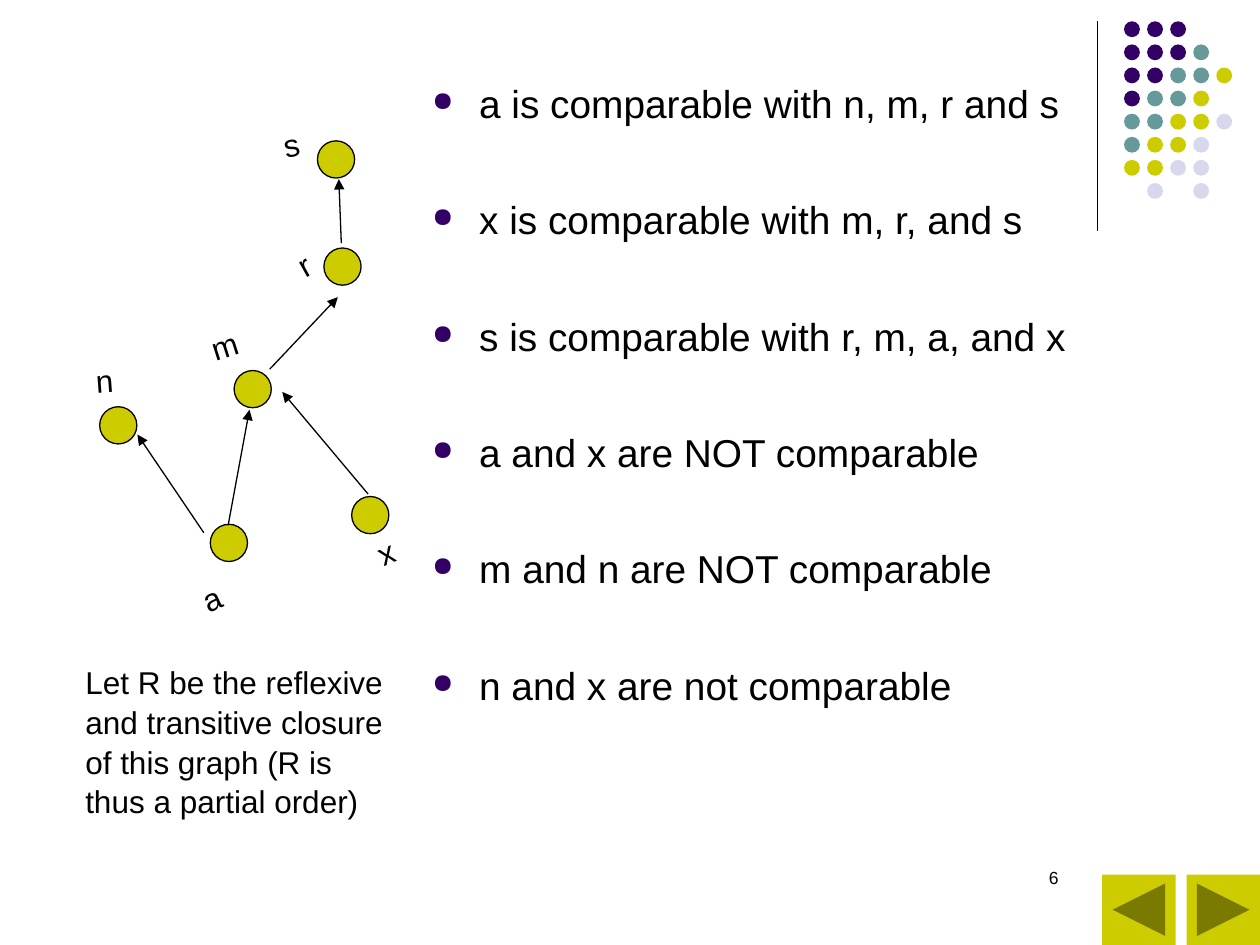
from lxml import etree
from pptx import Presentation
from pptx.dml.color import RGBColor
from pptx.enum.shapes import MSO_CONNECTOR, MSO_SHAPE
from pptx.enum.text import MSO_AUTO_SIZE, PP_ALIGN
from pptx.oxml.ns import qn
from pptx.util import Cm, Pt

OVAL = MSO_SHAPE.OVAL
BACK = MSO_SHAPE.ACTION_BUTTON_BACK_OR_PREVIOUS
NEXT = MSO_SHAPE.ACTION_BUTTON_FORWARD_OR_NEXT
LINE = MSO_CONNECTOR.STRAIGHT
RIGHT = PP_ALIGN.RIGHT
GROW = MSO_AUTO_SIZE.SHAPE_TO_FIT_TEXT

HUES = {"ink": "000000", "purple": "330066", "teal": "669999",
        "lime": "CCCC00", "pale": "D8D8EC"}
FONT = "Arial"

# One letter per dot: purple, teal, lime, pale
DOTS = ["ppp", "pppt", "ppttl", "pttl", "ttlld", "tlld", "lldd", " d d"]
KEYS = {"p": "purple", "t": "teal", "l": "lime", "d": "pale"}

# Name: node left and top, then label left, top, width and turn
NODES = {
    "n": (0.51, 5.80, 0.18, 4.76, 0.86, -4.3),
    "x": (5.59, 7.61, 5.94, 8.37, 0.81, 157.2),
    "s": (4.90, 0.44, 3.96, 0, 0.81, -12.3),
    "r": (5.03, 2.60, 4.27, 2.43, 0.71, -29.1),
    "a": (2.74, 8.17, 2.34, 9.16, 0.86, -24.1),
    "m": (3.22, 5.07, 2.51, 4.05, 1.04, -17.7),
}
# Start and end of each arrow
EDGES = [
    (2.61, 8.34, 1.27, 6.36),
    (5.38, 2.50, 5.33, 1.21),
    (3.10, 8.19, 3.53, 5.86),
    (3.94, 5.04, 5.31, 3.59),
    (5.92, 7.56, 4.19, 5.50),
]
FACTS = [
    "a is comparable with n, m, r and s",
    "x is comparable with m, r, and s",
    "s is comparable with r, m, a, and x",
    "a and x are NOT comparable",
    "m and n are NOT comparable",
    "n and x are not comparable",
]
NOTE = ("Let R be the reflexive and transitive closure of this graph "
        "(R is thus a partial order)")


def tint(key):
    return RGBColor.from_string(HUES[key])


def put(obj, fmt):
    for name, value in fmt.items():
        setattr(obj, name, value)


def shape(slide, kind, box, hue, edge=False):
    item = slide.shapes.add_shape(kind, *map(Cm, box))
    item.shadow.inherit = False
    item.fill.solid()
    item.fill.fore_color.rgb = tint(hue)
    if edge:
        item.line.color.rgb = tint("ink")
        item.line.width = Pt(0.75)
    else:
        item.line.fill.background()
    return item


def line(slide, ends, arrow=False):
    item = slide.shapes.add_connector(LINE, *map(Cm, ends))
    item.line.color.rgb = tint("ink")
    item.line.width = Pt(0.75)
    if arrow:
        ln = item.line._get_or_add_ln()
        etree.SubElement(ln, qn("a:tailEnd"), type="triangle")
    etree.SubElement(item._element.spPr, qn("a:effectLst"))


def style(para, size, fmt):
    put(para, fmt)
    put(para.font, {"name": FONT, "size": Pt(size)})
    para.font.color.rgb = tint("ink")


def text(slide, box, words, size, frame, fmt):
    item = slide.shapes.add_textbox(*map(Cm, box))
    put(item.text_frame, frame)
    para = item.text_frame.paragraphs[0]
    para.text = words
    style(para, size, fmt)
    return item


def bullet(para):
    props = para._p.get_or_add_pPr()
    put_in = {"marL": Cm(0.95), "indent": -Cm(0.95)}
    for name, value in put_in.items():
        props.set(name, str(int(value)))
    hue = etree.SubElement(props, qn("a:buClr"))
    etree.SubElement(hue, qn("a:srgbClr"), val=HUES["purple"])
    etree.SubElement(props, qn("a:buSzPct"), val="70000")
    etree.SubElement(props, qn("a:buChar"), char="●")


def corner(slide, left, top, width, height):
    """Rule with a grid of dots to its right."""
    line(slide, (left, top, left, top + height))
    size, inset, deep = 0.32, 0.54, 3.58
    step_x = (width - inset - size) / 4
    step_y = (deep - size) / (len(DOTS) - 1)
    for row, marks in enumerate(DOTS):
        for col, mark in enumerate(marks):
            if mark in KEYS:
                spot = (left + inset + col * step_x, top + row * step_y)
                shape(slide, OVAL, (*spot, size, size), KEYS[mark])


def graph(slide, left, top):
    """Nodes, arrows and tilted labels."""
    for x, y, *_ in NODES.values():
        shape(slide, OVAL, (left + x, top + y, 0.75, 0.75), "lime", True)
    for x1, y1, x2, y2 in EDGES:
        line(slide, (left + x1, top + y1, left + x2, top + y2), True)
    for name, (_, _, x, y, wide, turn) in NODES.items():
        tag = text(slide, (left + x, top + y, wide, 1.02), name, 18,
                   {"word_wrap": False, "auto_size": GROW}, {})
        tag.rotation = turn


def facts(slide, *box):
    """Bulleted list, spaced by paragraph."""
    frame = slide.shapes.add_textbox(*map(Cm, box)).text_frame
    put(frame, {"word_wrap": True, "margin_top": Cm(0.16)})
    for i, words in enumerate(FACTS):
        para = frame.add_paragraph() if i else frame.paragraphs[0]
        para.text = words
        bullet(para)
        gap = {"space_before": Pt(38.5)} if i else {}
        style(para, 22.2, {"line_spacing": 1.05, **gap})


def pager(slide, left, top, width, height):
    """Back and next buttons at the two ends of the box."""
    size = 1.48
    for kind, x in ((BACK, left), (NEXT, left + width - size)):
        shape(slide, kind, (x, top, size, height), "lime")


def main():
    deck = Presentation()
    put(deck, {"slide_width": Cm(25.4), "slide_height": Cm(19.05)})
    slide = deck.slides.add_slide(deck.slide_layouts[6])
    corner(slide, 22.12, 0.43, 2.72, 4.22)
    pager(slide, 22.22, 17.63, 3.18, 1.42)
    # Page number
    text(slide, (18.21, 17.35, 3.38, 1.27), "6", 10,
         {"word_wrap": True}, {"alignment": RIGHT})
    facts(slide, 8.46, 1.4, 13.64, 12.24)
    graph(slide, 1.5, 2.4)
    # Note under the graph
    text(slide, (1.47, 13.21, 6.63, 4.83), NOTE, 18,
         {"word_wrap": True}, {"line_spacing": 1.05})
    deck.save("out.pptx")


if __name__ == "__main__":
    main()
